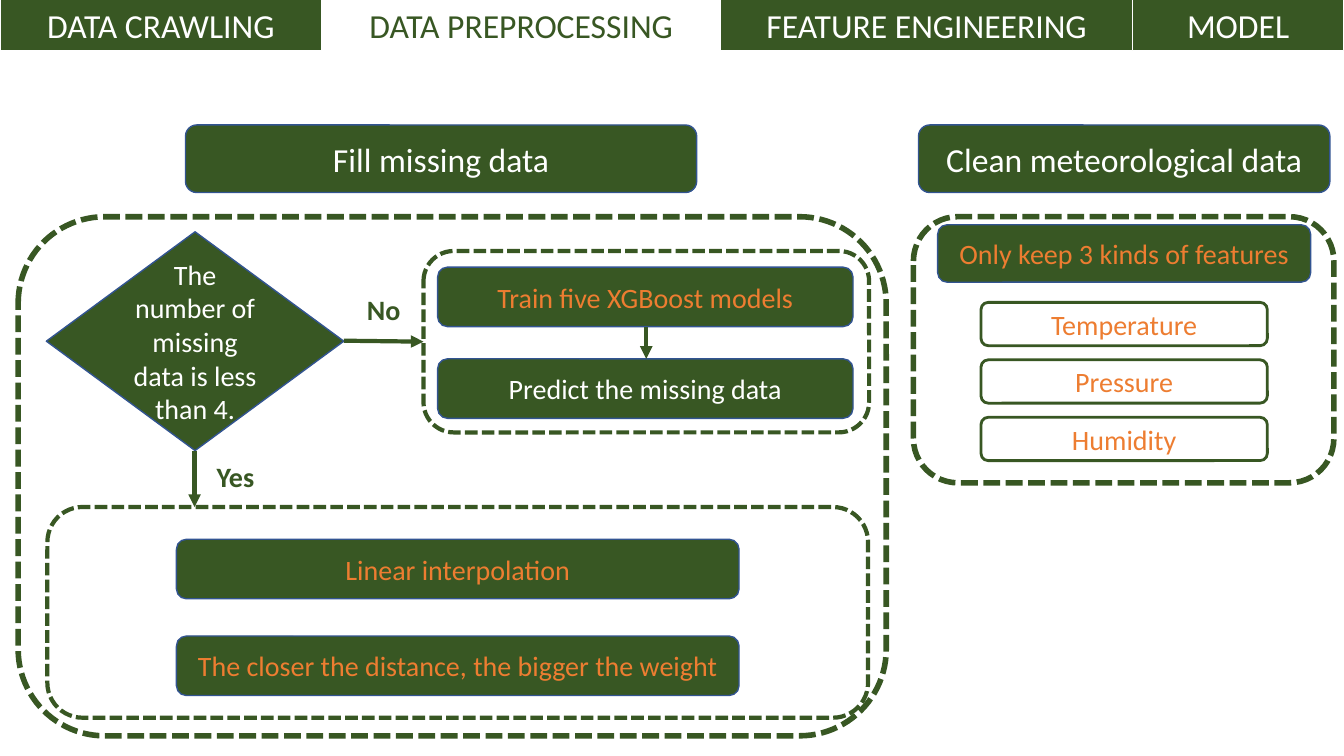
from lxml import etree
from pptx import Presentation
from pptx.dml.color import RGBColor
from pptx.enum.dml import MSO_LINE
from pptx.enum.shapes import MSO_CONNECTOR, MSO_SHAPE
from pptx.enum.text import MSO_ANCHOR, PP_ALIGN
from pptx.oxml.ns import qn
from pptx.util import Inches, Pt

RECT = MSO_SHAPE.RECTANGLE
ROUND = MSO_SHAPE.ROUNDED_RECTANGLE
DIAMOND = MSO_SHAPE.DIAMOND
STRAIGHT = MSO_CONNECTOR.STRAIGHT
DASH = MSO_LINE.SQUARE_DOT
CENTER = PP_ALIGN.CENTER
MIDDLE = MSO_ANCHOR.MIDDLE
TOP = MSO_ANCHOR.TOP

FONT = "Calibri"
COLORS = {"green": "385723", "blue": "325491", "white": "FFFFFF",
          "orange": "ED7D31"}


def color(name):
    return RGBColor.from_string(COLORS[name])


def write(shape, text, size, ink, anchor=MIDDLE, bold=False):
    frame = shape.text_frame
    frame.text = text
    frame.word_wrap = True
    frame.vertical_anchor = anchor
    para = frame.paragraphs[0]
    para.alignment = CENTER
    font = para.runs[0].font
    font.name, font.size, font.bold = FONT, Pt(size), bold
    font.color.rgb = color(ink)


def add_box(slide, kind, place, fill, edge, width):
    shape = slide.shapes.add_shape(kind, *map(Inches, place))
    shape.shadow.inherit = False
    shape.fill.solid()
    shape.fill.fore_color.rgb = color(fill)
    shape.line.color.rgb = color(edge)
    shape.line.width = Pt(width)
    return shape


def add_panel(slide, place, width):
    panel = add_box(slide, ROUND, place, "white", "green", width)
    panel.line.dash_style = DASH


def add_step(slide, place, text, size=20, ink="orange", kind=ROUND):
    step = add_box(slide, kind, place, "green", "blue", 1)
    write(step, text, size, ink)


def add_label(slide, left, top, text):
    label = slide.shapes.add_textbox(*map(Inches, (left, top, 0.61, 0.44)))
    write(label, text, 20, "green", TOP, True)


def add_arrow(slide, start, end):
    arrow = slide.shapes.add_connector(STRAIGHT, *map(Inches, start + end))
    arrow.line.color.rgb = color("green")
    arrow.line.width = Pt(3)
    line = arrow.line._get_or_add_ln()
    etree.SubElement(line, qn("a:tailEnd"), type="triangle")
    etree.SubElement(arrow._element.spPr, qn("a:effectLst"))


def add_tabs(slide):
    tabs = [("DATA CRAWLING", 3.19), ("DATA PREPROCESSING", 3.96),
            ("FEATURE ENGINEERING", 4.08), ("MODEL", 2.1)]
    left = 0
    for text, width in tabs:
        fill, ink = "green", "white"
        if text == "DATA PREPROCESSING":
            fill, ink = ink, fill
        tab = add_box(slide, RECT, (left, 0, width, 0.5), fill, "white", 0.75)
        write(tab, text, 24, ink, TOP)
        left += width


def add_filling(slide):
    add_step(slide, (1.84, 1.24, 5.07, 0.67), "Fill missing data", 24, "white")
    add_panel(slide, (0.18, 2.15, 8.61, 5.15), 4)

    # Decision
    add_step(slide, (0.46, 2.3, 2.95, 2.17),
             "The number of missing data is less than 4.", 20, "white", DIAMOND)
    add_label(slide, 2.03, 4.51, "Yes")
    add_label(slide, 3.5, 2.85, "No")

    # Branch for many gaps
    add_panel(slide, (4.2, 2.49, 4.42, 1.8), 3)
    add_step(slide, (4.34, 2.65, 4.12, 0.59), "Train five XGBoost models")
    add_step(slide, (4.34, 3.56, 4.12, 0.59), "Predict the missing data",
             ink="white")

    # Branch for few gaps
    add_panel(slide, (0.47, 5.03, 8.14, 2.09), 3)
    add_step(slide, (1.75, 5.35, 5.58, 0.59), "Linear interpolation")
    add_step(slide, (1.75, 6.31, 5.58, 0.59),
             "The closer the distance, the bigger the weight")

    # Flow
    add_arrow(slide, (1.93, 4.47), (1.93, 5.03))
    add_arrow(slide, (6.41, 3.24), (6.41, 3.56))
    add_arrow(slide, (3.41, 3.38), (4.2, 3.39))


def add_cleaning(slide):
    add_step(slide, (9.11, 1.24, 4.08, 0.67), "Clean meteorological data",
             24, "white")
    add_panel(slide, (9.06, 2.15, 4.17, 2.64), 4)
    add_step(slide, (9.3, 2.23, 3.7, 0.57), "Only keep 3 kinds of features")
    for row, text in enumerate(("Temperature", "Pressure", "Humidity")):
        place = (9.73, 3 + row * 0.57, 2.84, 0.43)
        feature = add_box(slide, ROUND, place, "white", "green", 2)
        write(feature, text, 20, "orange")


def main():
    deck = Presentation()
    deck.slide_width, deck.slide_height = Inches(13.33), Inches(7.5)
    slide = deck.slides.add_slide(deck.slide_layouts[6])
    add_tabs(slide)
    add_filling(slide)
    add_cleaning(slide)
    deck.save("out.pptx")


main()
